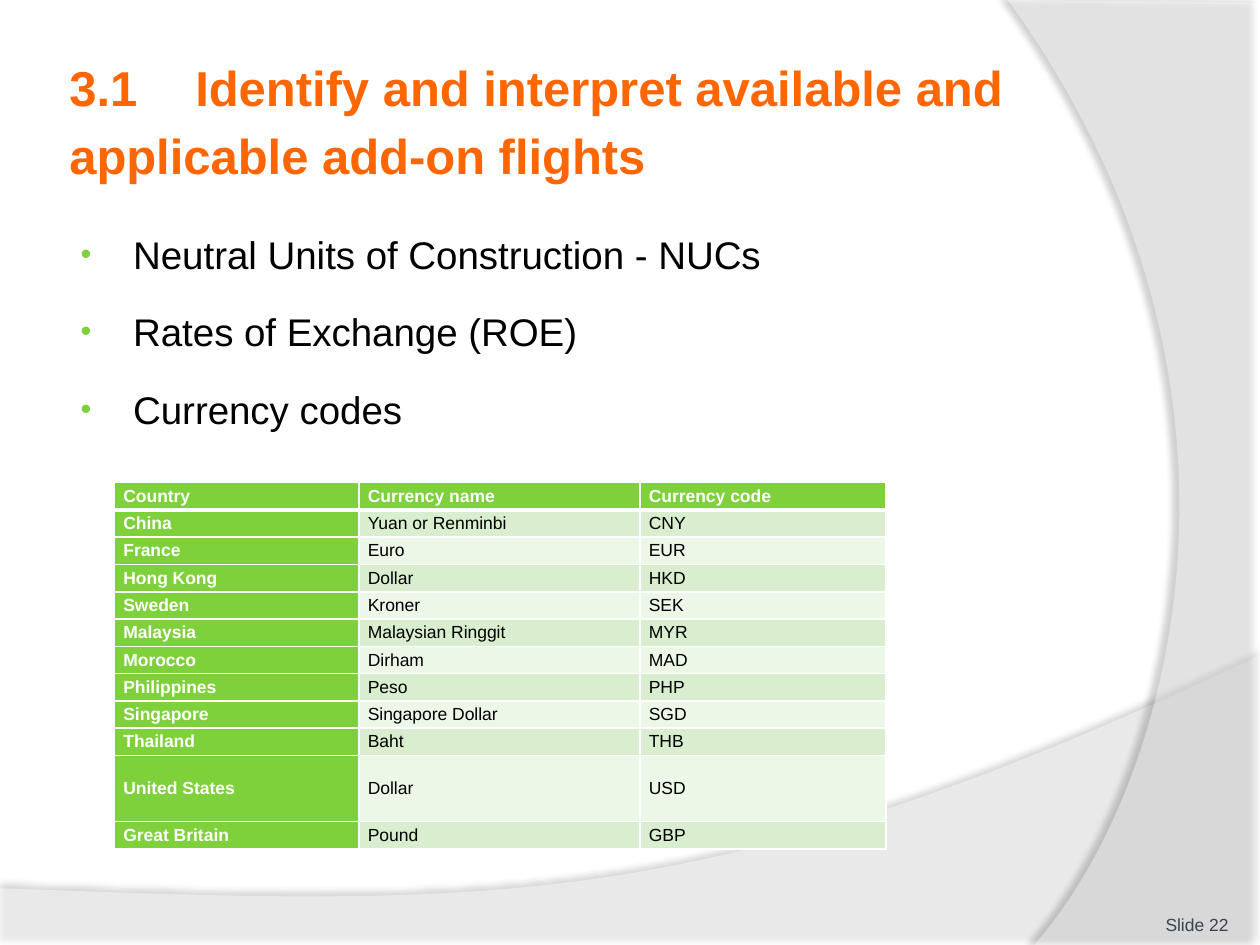
from dataclasses import dataclass

from lxml import etree
from pptx import Presentation
from pptx import util as u
from pptx.dml.color import RGBColor
from pptx.enum import text
from pptx.oxml import ns

Pt = u.Pt


@dataclass(frozen=True)
class Theme:
    font: str = "Arial"
    title: str = "FF6600"
    ink: str = "000000"
    white: str = "FFFFFF"
    green: str = "7FD13B"
    band_dark: str = "D8EECE"
    band_light: str = "ECF7E8"
    number: str = "3A4352"
    title_size: float = 28
    body_size: float = 22
    small_size: float = 10


T = Theme()

TOPICS = ["Neutral Units of Construction - NUCs", "Rates of Exchange (ROE)", "Currency codes"]

CURRENCIES = [
    ("Country", "Currency name", "Currency code"),
    ("China", "Yuan or Renminbi", "CNY"),
    ("France", "Euro", "EUR"),
    ("Hong Kong", "Dollar", "HKD"),
    ("Sweden", "Kroner", "SEK"),
    ("Malaysia", "Malaysian Ringgit", "MYR"),
    ("Morocco", "Dirham", "MAD"),
    ("Philippines", "Peso", "PHP"),
    ("Singapore", "Singapore Dollar", "SGD"),
    ("Thailand", "Baht", "THB"),
    ("United States", "Dollar", "USD"),
    ("Great Britain", "Pound", "GBP"),
]
COL_WIDTHS = [139.7, 160.6, 140.4]
ROW_HEIGHT, TALL_ROW_HEIGHT = 15.6, 37.8


def rgb(color):
    return RGBColor.from_string(color)


def sub(parent, tag, **attrs):
    """Append a DrawingML element with the given attributes."""
    el = etree.SubElement(parent, ns.qn(tag))
    for name, value in attrs.items():
        el.set(name, str(value))
    return el


def write(p, content, size=T.small_size, color=T.ink, bold=False, align=None,
          before=0, after=0, line=None):
    """Put one formatted run of text in a paragraph."""
    p.alignment, p.line_spacing = align, line
    p.space_before, p.space_after = Pt(before), Pt(after)
    r = p.add_run()
    r.text = content
    r.font.name, r.font.size, r.font.bold = T.font, Pt(size), bold
    r.font.color.rgb = rgb(color)


def add_bullet(p):
    pPr = p._p.get_or_add_pPr()
    pPr.set("marL", str(Pt(33)))
    pPr.set("indent", str(-Pt(30)))
    sub(sub(pPr, "a:buClr"), "a:srgbClr", val=T.green)
    sub(pPr, "a:buSzPct", val=80000)
    sub(pPr, "a:buFont", typeface=T.font)
    sub(pPr, "a:buChar", char="•")


def add_box(s, left, top, width, height, anchor=text.MSO_ANCHOR.TOP, inset=3.6, side=None):
    """Add a wrapping text box and return its text frame."""
    sp = s.shapes.add_textbox(Pt(left), Pt(top), Pt(width), Pt(height))
    tf = sp.text_frame
    tf.word_wrap, tf.vertical_anchor = True, anchor
    tf.margin_top = tf.margin_bottom = Pt(inset)
    tf.margin_left = tf.margin_right = Pt(inset if side is None else side)
    return tf


def curve(a, b, c, d, steps=48):
    """Points along a cubic Bezier, without its start."""
    def at(t):
        w = ((1 - t) ** 3, 3 * t * (1 - t) ** 2, 3 * t ** 2 * (1 - t), t ** 3)
        return tuple(sum(k * q[i] for k, q in zip(w, (a, b, c, d))) for i in (0, 1))
    return [at(n / steps) for n in range(1, steps + 1)]


def add_sweep(s, points, alpha, shadow_alpha, distance, direction):
    """Add a translucent white area with a soft shadow."""
    emu = [(Pt(x), Pt(y)) for x, y in points]
    fb = s.shapes.build_freeform(*emu[0], scale=1.0)
    fb.add_line_segments(emu[1:], close=True)
    sp = fb.convert_to_shape()
    sp.fill.solid()
    sp.fill.fore_color.rgb = rgb(T.white)
    sp.line.fill.background()
    spPr = sp._element.spPr
    sub(spPr.find(ns.qn("a:solidFill"))[0], "a:alpha", val=alpha * 1000)
    shadow = sub(sub(spPr, "a:effectLst"), "a:outerShdw", blurRad=Pt(4),
                 dist=Pt(distance), dir=direction * 60000, algn="ctr", rotWithShape=0)
    sub(sub(shadow, "a:srgbClr", val=T.ink), "a:alpha", val=shadow_alpha * 1000)


def format_cell(cell, content, fill, color, bold, bottom):
    cell.margin_left = cell.margin_right = Pt(5)
    cell.margin_top = cell.margin_bottom = 0
    cell.vertical_anchor = text.MSO_ANCHOR.MIDDLE
    write(cell.text_frame.paragraphs[0], content, color=color, bold=bold)
    # Borders come before the fill in the cell properties
    tcPr = cell._tc.get_or_add_tcPr()
    for side, width in (("L", 1), ("R", 1), ("T", 1), ("B", bottom)):
        ln = sub(tcPr, f"a:ln{side}", w=Pt(width))
        sub(sub(ln, "a:solidFill"), "a:srgbClr", val=T.white)
    cell.fill.solid()
    cell.fill.fore_color.rgb = rgb(fill)


def add_currency_table(s, left, top):
    heights = [TALL_ROW_HEIGHT if row[0] == "United States" else ROW_HEIGHT
               for row in CURRENCIES]
    table = s.shapes.add_table(len(CURRENCIES), len(COL_WIDTHS), Pt(left), Pt(top),
                               Pt(sum(COL_WIDTHS)), Pt(sum(heights))).table
    for column, width in zip(table.columns, COL_WIDTHS):
        column.width = Pt(width)
    for i, (values, height) in enumerate(zip(CURRENCIES, heights)):
        table.rows[i].height = Pt(height)
        band = T.band_dark if i % 2 else T.band_light
        for j, value in enumerate(values):
            head = i == 0 or j == 0
            format_cell(table.cell(i, j), value, fill=T.green if head else band,
                        color=T.white if head else T.ink, bold=head,
                        bottom=3 if i == 0 else 1)


def main():
    prs = Presentation()
    prs.slide_width, prs.slide_height = Pt(720), Pt(540)
    s = prs.slides.add_slide(prs.slide_layouts[6])

    # Background sweeps
    bottom = curve((720, 374.4), (402.5, 524.9), (281.5, 517.7), (0, 507.6))
    add_sweep(s, [(0, 540.7), (720, 540.7), (720, 374.4)] + bottom,
              alpha=45, shadow_alpha=35, distance=3.5, direction=270)
    right = curve((591.1, 540), (673.2, 445.7), (733, 216), (576, 0))
    add_sweep(s, [(720, 1.4), (720, 540), (591.1, 540)] + right,
              alpha=40, shadow_alpha=45, distance=4, direction=180)

    # Title
    tf = add_box(s, 36, 21.6, 588, 90, anchor=text.MSO_ANCHOR.MIDDLE)
    write(tf.paragraphs[0], "3.1\tIdentify and interpret available and applicable add-on flights",
          size=T.title_size, color=T.title, bold=True, after=10, line=1.15)

    # Topics
    tf = add_box(s, 36, 128.2, 613.4, 354.2, side=7.2)
    for i, topic in enumerate(TOPICS):
        p = tf.paragraphs[0] if i == 0 else tf.add_paragraph()
        add_bullet(p)
        write(p, topic, size=T.body_size, before=6 if i else 0, after=12)

    # Currency table
    add_currency_table(s, 65.5, 275.8)

    # Slide number
    tf = add_box(s, 642.2, 505.4, 59.8, 28.8, anchor=text.MSO_ANCHOR.BOTTOM, inset=0)
    write(tf.paragraphs[0], "Slide 22", color=T.number, align=text.PP_ALIGN.RIGHT)

    prs.save("out.pptx")


if __name__ == "__main__":
    main()
